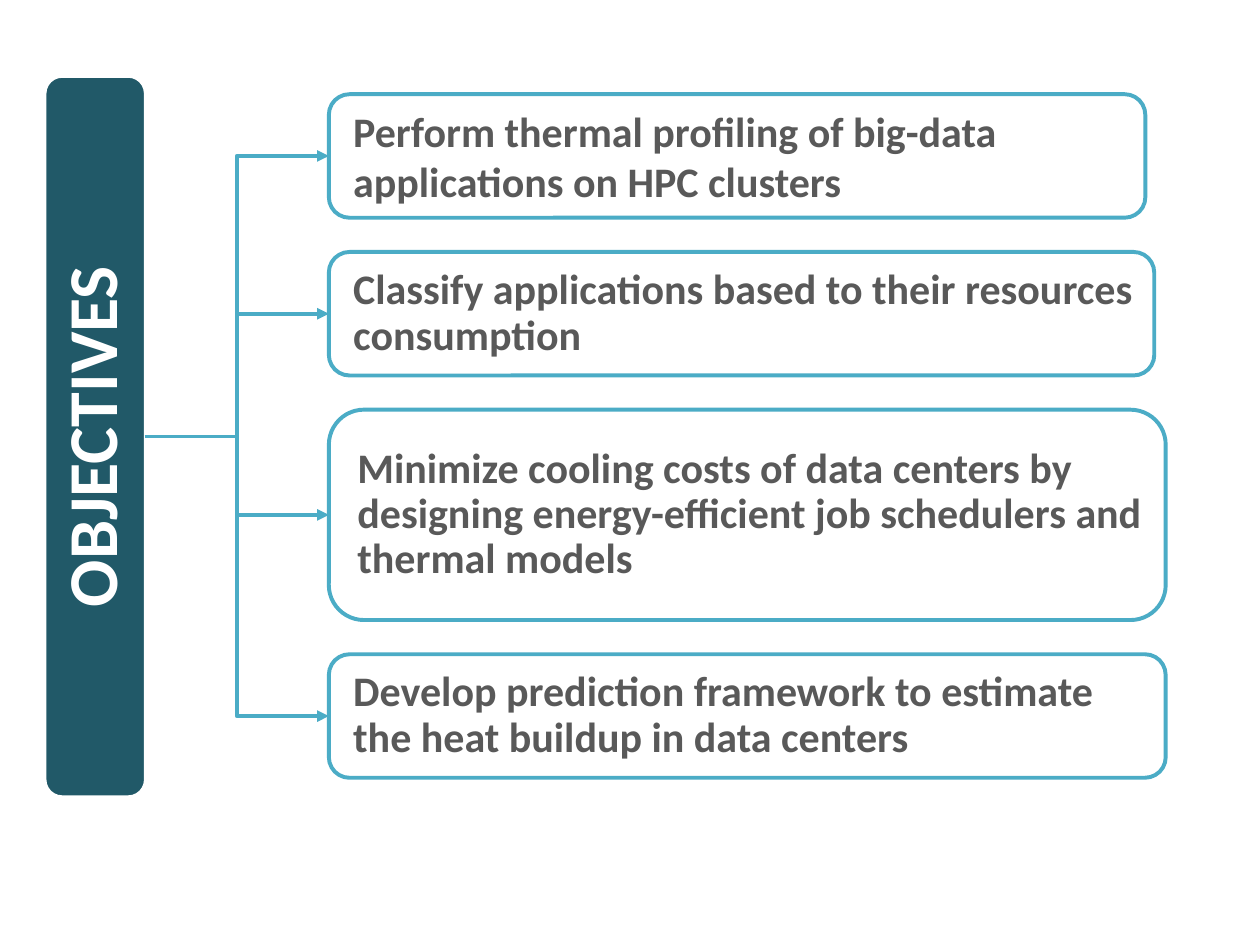
"""Build a slide with four objectives branching from an upright title bar."""
from dataclasses import dataclass

import lxml.etree
import pptx
import pptx.dml.color
import pptx.enum.shapes
import pptx.enum.text
import pptx.oxml
import pptx.oxml.ns
import pptx.shapes.autoshape
import pptx.shapes.shapetree
import pptx.util

Cm = pptx.util.Cm
Pt = pptx.util.Pt
RGBColor = pptx.dml.color.RGBColor
Align = pptx.enum.text.PP_ALIGN

TEAL = RGBColor(0x21, 0x59, 0x68)
AQUA = RGBColor(0x4B, 0xAC, 0xC6)
WHITE = RGBColor(0xFF, 0xFF, 0xFF)
GRAY = RGBColor(0x59, 0x59, 0x59)

BAR_MID_X, BAR_MID_Y = 1.92, 8.8
BAR_LONG, BAR_THICK = 14.5, 2.0
STEM_X = 2.92
BOX_X, BOX_TOP, BOX_GAP = 6.63, 1.9, 0.69


@dataclass
class Goal:
    """One objective with its box size in centimetres."""
    text: str
    width: float
    height: float = 2.49
    pitch: float = 0.9


@dataclass
class Style:
    """Colours, line and type of a rounded box."""
    fill: RGBColor
    line: RGBColor
    weight: float
    font: RGBColor
    size: int
    align: Align
    inset: float
    indent: float = 0


GOALS = [
    Goal("Perform thermal profiling of big-data applications on HPC clusters",
         16.46, pitch=1.0),
    Goal("Classify applications based to their resources consumption", 16.64),
    Goal("Minimize cooling costs of data centers by designing energy-efficient "
         "job schedulers and thermal models", 16.87, height=4.24),
    Goal("Develop prediction framework to estimate the heat buildup in data "
         "centers", 16.87),
]
BAR = Style(TEAL, WHITE, 1, WHITE, 40, Align.CENTER, 0.07)
BOX = Style(WHITE, AQUA, 2.25, GRAY, 24, Align.LEFT, 0.06, 0.31)


def add_box(tree: pptx.shapes.shapetree.SlideShapes, left: float, top: float,
            goal: Goal, style: Style) -> pptx.shapes.autoshape.Shape:
    """Add a rounded box that holds its own text."""
    box = tree.add_shape(pptx.enum.shapes.MSO_SHAPE.ROUNDED_RECTANGLE,
                         Cm(left), Cm(top), Cm(goal.width), Cm(goal.height))
    box.shadow.inherit = False
    box.fill.solid()
    box.fill.fore_color.rgb = style.fill
    box.line.color.rgb = style.line
    box.line.width = Pt(style.weight)
    frame = box.text_frame
    frame.word_wrap = True
    frame.vertical_anchor = pptx.enum.text.MSO_ANCHOR.MIDDLE
    frame.margin_left = frame.margin_right = Cm(style.inset)
    frame.margin_top = frame.margin_bottom = Cm(style.inset)
    para = frame.paragraphs[0]
    para.alignment = style.align
    para.line_spacing = goal.pitch
    props = para._p.get_or_add_pPr()
    props.set("marL", str(Cm(style.indent)))
    props.set("indent", "0")
    run = para.add_run()
    run.text = goal.text
    run.font.name = "Calibri"
    run.font.size = Pt(style.size)
    run.font.bold = True
    run.font.color.rgb = style.font
    return box


def add_branch(tree: pptx.shapes.shapetree.SlideShapes, mid: float) -> None:
    """Add an elbow arrow from the bar to the middle of a box."""
    branch = tree.add_connector(pptx.enum.shapes.MSO_CONNECTOR.ELBOW,
                                Cm(STEM_X), Cm(BAR_MID_Y), Cm(BOX_X), Cm(mid))
    branch.line.color.rgb = AQUA
    branch.line.width = Pt(2.25)
    name = pptx.oxml.ns.qn
    lxml.etree.SubElement(branch.line._get_or_add_ln(), name("a:tailEnd"),
                          type="triangle")
    lxml.etree.SubElement(branch._element.spPr, name("a:effectLst"))


def main() -> None:
    """Draw the slide and save it."""
    deck = pptx.Presentation()
    deck.slide_width, deck.slide_height = Cm(25.4), Cm(19.05)
    tree = deck.slides.add_slide(deck.slide_layouts[6]).shapes
    bar = add_box(tree, BAR_MID_X - BAR_LONG / 2, BAR_MID_Y - BAR_THICK / 2,
                  Goal("OBJECTIVES", BAR_LONG, BAR_THICK), BAR)
    bar.rotation = 270
    top = BOX_TOP
    for goal in GOALS:
        add_branch(tree, top + goal.height / 2)
        add_box(tree, BOX_X, top, goal, BOX)
        top += goal.height + BOX_GAP
    deck.save("out.pptx")


main()
